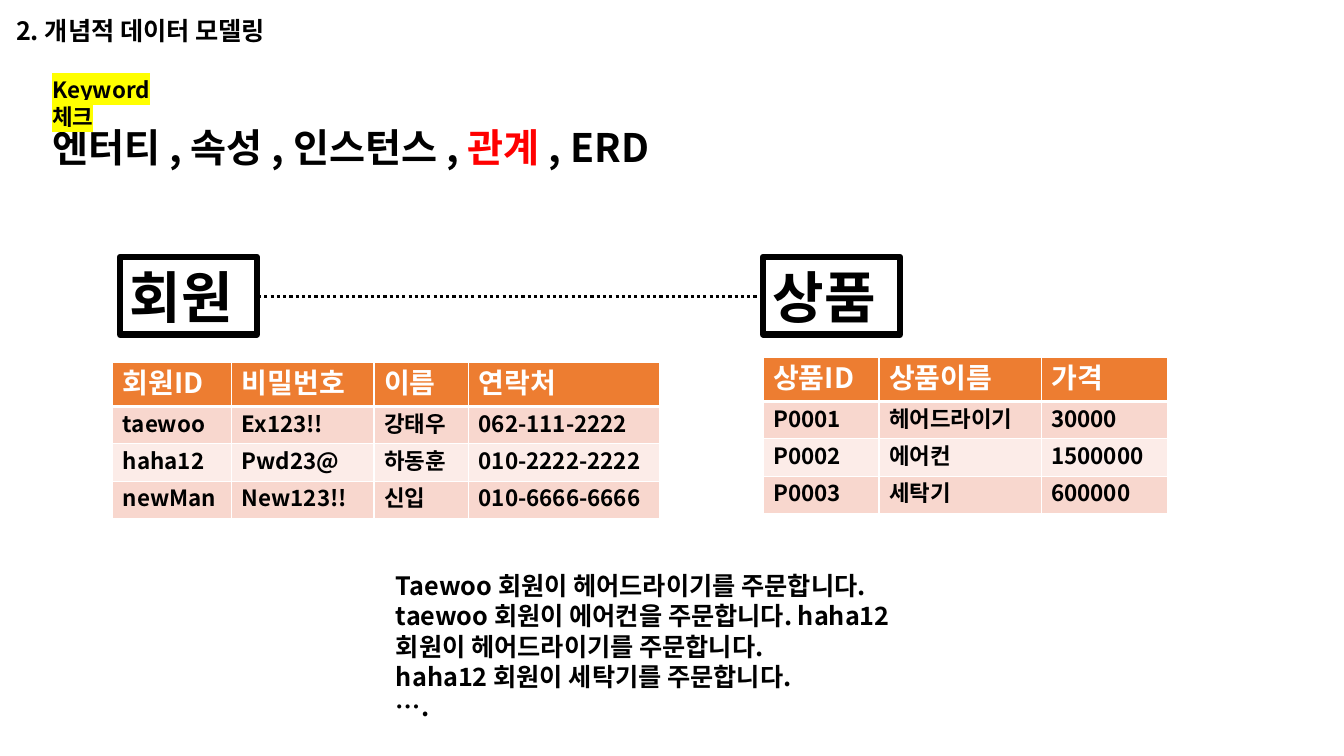
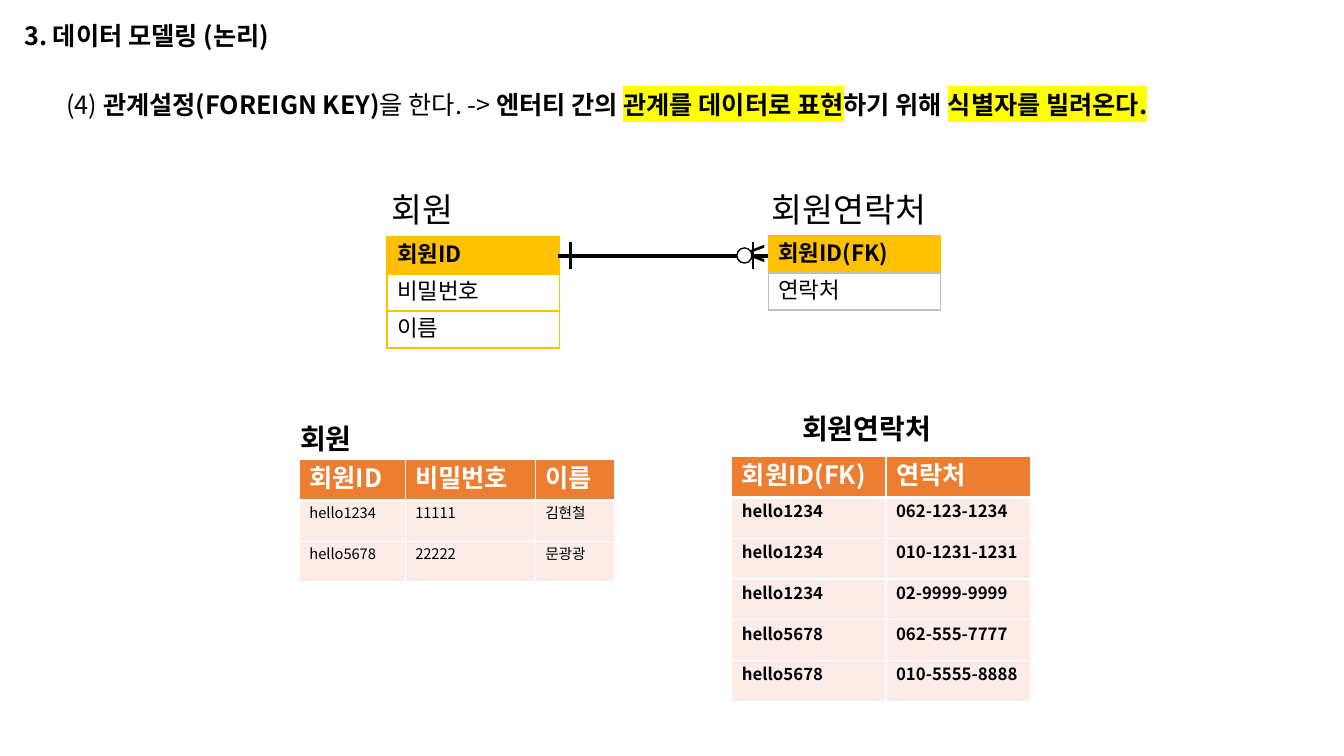
from lxml import etree
from pptx import Presentation
from pptx.dml.color import RGBColor
from pptx.enum.dml import MSO_LINE
from pptx.enum.shapes import MSO_CONNECTOR, MSO_SHAPE
from pptx.enum.text import MSO_ANCHOR, PP_ALIGN
from pptx.oxml.ns import qn
from pptx.util import Inches, Pt

STRAIGHT = MSO_CONNECTOR.STRAIGHT
RECTANGLE, OVAL = MSO_SHAPE.RECTANGLE, MSO_SHAPE.OVAL
DOTTED = MSO_LINE.ROUND_DOT
TOP, MIDDLE = MSO_ANCHOR.TOP, MSO_ANCHOR.MIDDLE
LEFT = PP_ALIGN.LEFT

COLORS = {
    "black": "000000", "white": "FFFFFF", "red": "FF0000", "yellow": "FFFF00",
    "orange": "ED7D31", "rose": "F8D7CE", "pale": "FCECE8",
    "gold": "FFC000", "gray": "BFBFBF",
}
FONT = "Noto Sans CJK KR"
LINE_HEIGHT = 1.2
TITLE_ONLY = 5
SLIDE_WIDTH, SLIDE_HEIGHT = Inches(13.33), Inches(7.5)
COLUMN, ROW = SLIDE_WIDTH / 40, SLIDE_HEIGHT / 30


def rgb(name):
    return RGBColor.from_string(COLORS[name])


def across(columns):
    return round(columns * COLUMN)


def down(rows):
    return round(rows * ROW)


def box(left, top, width, height):
    return across(left), down(top), across(width), down(height)


class Deck:
    """Holds the shared style and the slide being built; lengths are grid units."""

    def __init__(self):
        self.presentation = Presentation()
        self.presentation.slide_width = SLIDE_WIDTH
        self.presentation.slide_height = SLIDE_HEIGHT
        self.slide = None

    def add_slide(self, title, area):
        layout = self.presentation.slide_layouts[TITLE_ONLY]
        self.slide = self.presentation.slides.add_slide(layout)
        placeholder = self.slide.shapes.title
        placeholder.left, placeholder.top, placeholder.width, placeholder.height = box(*area)
        self.set_text(placeholder.text_frame, [title], 18, bold=True)

    def add_run(self, paragraph, text, size, bold, color="black", highlight=None):
        run = paragraph.add_run()
        run.text = text
        font = run.font
        font.size, font.bold = Pt(size), bold
        font.color.rgb = rgb(color)
        properties = run._r.get_or_add_rPr()
        if highlight:
            marker = etree.SubElement(properties, qn("a:highlight"))
            etree.SubElement(marker, qn("a:srgbClr"), val=COLORS[highlight])
        font.name = FONT
        etree.SubElement(properties, qn("a:ea"), typeface=FONT)

    def set_text(self, frame, paragraphs, size, bold=False, color="black"):
        """A paragraph is a string, or a list of (text, run style) pairs."""
        frame.word_wrap = True
        frame.vertical_anchor = TOP
        for index, runs in enumerate(paragraphs):
            paragraph = frame.add_paragraph() if index else frame.paragraphs[0]
            paragraph.alignment = LEFT
            paragraph.line_spacing = Pt(size * LINE_HEIGHT)
            if isinstance(runs, str):
                runs = [(runs, {})]
            for text, style in runs:
                self.add_run(paragraph, text, size, **{"bold": bold, "color": color, **style})

    def add_text(self, area, paragraphs, size, bold=False):
        shape = self.slide.shapes.add_textbox(*box(*area))
        self.set_text(shape.text_frame, paragraphs, size, bold)

    def add_shape(self, kind, area, weight, fill=None):
        shape = self.slide.shapes.add_shape(kind, *box(*area))
        shape.shadow.inherit = False
        shape.line.color.rgb = rgb("black")
        shape.line.width = Pt(weight)
        if fill:
            shape.fill.solid()
            shape.fill.fore_color.rgb = rgb(fill)
        else:
            shape.fill.background()
        return shape

    def add_entity(self, area, name):
        shape = self.add_shape(RECTANGLE, area, 4.5)
        self.set_text(shape.text_frame, [name], 40, bold=True)
        shape.text_frame.vertical_anchor = MIDDLE

    def add_line(self, start, end, weight, dash=None):
        line = self.slide.shapes.add_connector(
            STRAIGHT, across(start[0]), down(start[1]), across(end[0]), down(end[1]))
        line.line.color.rgb = rgb("black")
        line.line.width = Pt(weight)
        if dash:
            line.line.dash_style = dash
        etree.SubElement(line._element.spPr, qn("a:effectLst"))

    def set_borders(self, cell, color, bottom_weight):
        properties = cell._tc.get_or_add_tcPr()
        for position, side in enumerate(("lnL", "lnR", "lnT", "lnB")):
            weight = bottom_weight if side == "lnB" else 1
            edge = etree.Element(qn("a:" + side), w=str(Pt(weight)))
            fill = etree.SubElement(edge, qn("a:solidFill"))
            etree.SubElement(fill, qn("a:srgbClr"), val=COLORS[color])
            properties.insert(position, edge)

    def add_table(self, left, top, widths, heights, rows, header, body):
        """header and body hold size, bold, color, fills, border and bottom weight."""
        frame = self.slide.shapes.add_table(
            len(rows), len(widths), *box(left, top, sum(widths), sum(heights)))
        table = frame.table
        for column, width in zip(table.columns, widths):
            column.width = across(width)
        for index, (row, height, texts) in enumerate(zip(table.rows, heights, rows)):
            row.height = down(height)
            size, bold, color, fills, border, bottom = body if index else header
            for cell, text in zip(row.cells, texts):
                cell.fill.solid()
                cell.fill.fore_color.rgb = rgb(fills[(index - 1) % len(fills)])
                self.set_borders(cell, border, bottom)
                self.set_text(cell.text_frame, [text], size, bold, color)

    def add_data_table(self, left, top, widths, heights, rows, sizes, bold, fills):
        self.add_table(left, top, widths, heights, rows,
                       (sizes[0], True, "white", ["orange"], "white", 3),
                       (sizes[1], bold, "black", fills, "white", 1))

    def add_entity_table(self, left, top, names, border):
        self.add_table(left, top, [5.13], [1.47] * len(names), [[name] for name in names],
                       (16, True, "black", ["gold"], "gold", 1),
                       (16, False, "black", ["white"], border, 1))


def build_concept_slide(deck):
    deck.add_slide("2. 개념적 데이터 모델링", (0.18, 0.4, 20, 1.6))

    # Keywords
    deck.add_text((1.26, 4.68, 21.93, 2.28), [[
        ("엔터티 , 속성 , 인스턴스 , ", {}), ("관계", {"color": "red"}), (" , ERD", {})]],
        28, bold=True)
    deck.add_text((1.26, 2.84, 4.68, 1.48),
                  [[("Keyword 체크", {"highlight": "yellow"})]], 16, bold=True)

    # Entities and their relationship
    deck.add_line((7.68, 11.76), (22.71, 11.76), 2.25, DOTTED)
    for left, name in ((3.57, "회원"), (22.71, "상품")):
        deck.add_entity((left, 10.2, 4.08, 3.08), name)

    # Instances
    heights = [1.68] + [1.48] * 3
    tables = (
        (3.36, 14.4, [3.54, 4.23, 2.82, 5.67], [
            ["회원ID", "비밀번호", "이름", "연락처"],
            ["taewoo", "Ex123!!", "강태우", "062-111-2222"],
            ["haha12", "Pwd23@", "하동훈", "010-2222-2222"],
            ["newMan", "New123!!", "신입", "010-6666-6666"]]),
        (22.71, 14.2, [3.45, 4.83, 3.75], [
            ["상품ID", "상품이름", "가격"],
            ["P0001", "헤어드라이기", "30000"],
            ["P0002", "에어컨", "1500000"],
            ["P0003", "세탁기", "600000"]]),
    )
    for left, top, widths, rows in tables:
        deck.add_data_table(left, top, widths, heights, rows, (20, 16), True, ["rose", "pale"])

    # Orders
    deck.add_text((11.49, 22.44, 15.87, 6.48), [
        "Taewoo 회원이 헤어드라이기를 주문합니다.",
        "taewoo 회원이 에어컨을 주문합니다. haha12 회원이 헤어드라이기를 주문합니다.",
        "haha12 회원이 세탁기를 주문합니다.",
        "….",
    ], 18, bold=True)


def build_logical_slide(deck):
    deck.add_slide("3. 데이터 모델링 (논리)", (0.42, 0.6, 10, 1.6))

    # Step
    strong, marked = {"bold": True}, {"bold": True, "highlight": "yellow"}
    deck.add_text((1.68, 3.36, 36.66, 1.6), [[
        ("(4) ", {}), ("관계설정(FOREIGN KEY)", strong), ("을 한다. -> ", {}),
        ("엔터티 간의 ", strong), ("관계를 데이터로 표현", marked),
        ("하기 위해 ", strong), ("식별자를 빌려온다.", marked)]], 18)

    # Entity diagram
    deck.add_text((11.37, 7.32, 3.24, 2), ["회원"], 24)
    deck.add_text((22.68, 7.32, 7.08, 2), ["회원연락처"], 24)
    deck.add_entity_table(11.52, 9.4, ["회원ID", "비밀번호", "이름"], "gold")
    deck.add_entity_table(22.86, 9.36, ["회원ID(FK)", "연락처"], "gray")

    # One-to-many relationship
    deck.add_text((21.87, 8.92, 1.14, 2.28), ["<"], 28)
    deck.add_line((16.62, 10.16), (22.86, 10.16), 2.25)
    deck.add_shape(OVAL, (21.93, 9.84, 0.45, 0.6), 1, "white")
    for tick in (16.98, 22.41):
        deck.add_line((tick, 9.62), (tick, 10.68), 1.5)

    # Instances
    deck.add_text((8.64, 16.52, 3.69, 1.76), ["회원"], 20, bold=True)
    deck.add_text((23.58, 16.12, 5.28, 1.76), ["회원연락처"], 20, bold=True)
    deck.add_data_table(8.91, 18.24, [3.15, 3.87, 2.37], [1.62] * 3, [
        ["회원ID", "비밀번호", "이름"],
        ["hello1234", "11111", "김현철"],
        ["hello5678", "22222", "문광광"],
    ], (18, 10.5), False, ["pale"])
    deck.add_data_table(21.78, 18.12, [4.59, 4.29], [1.62] * 6, [
        ["회원ID(FK)", "연락처"],
        ["hello1234", "062-123-1234"],
        ["hello1234", "010-1231-1231"],
        ["hello1234", "02-9999-9999"],
        ["hello5678", "062-555-7777"],
        ["hello5678", "010-5555-8888"],
    ], (18, 12), True, ["pale"])


def main():
    deck = Deck()
    build_concept_slide(deck)
    build_logical_slide(deck)
    deck.presentation.save("out.pptx")


if __name__ == "__main__":
    main()
